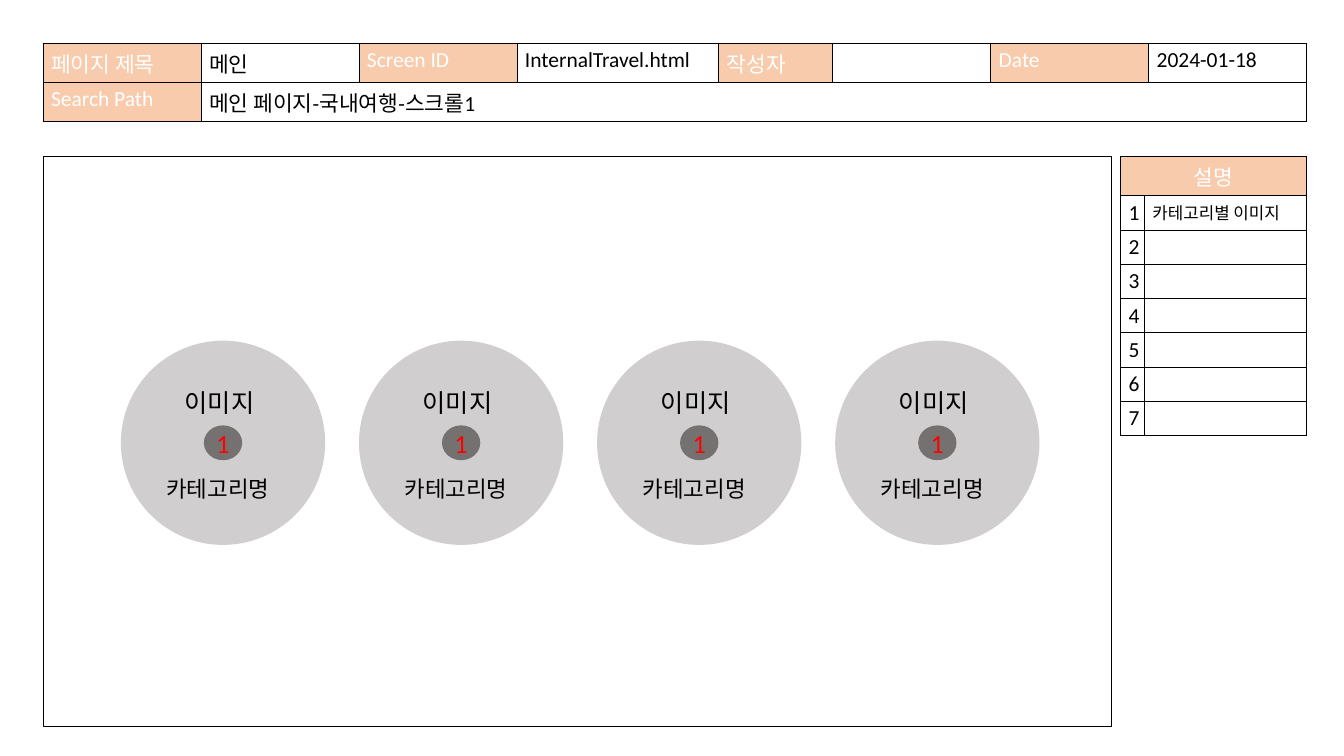
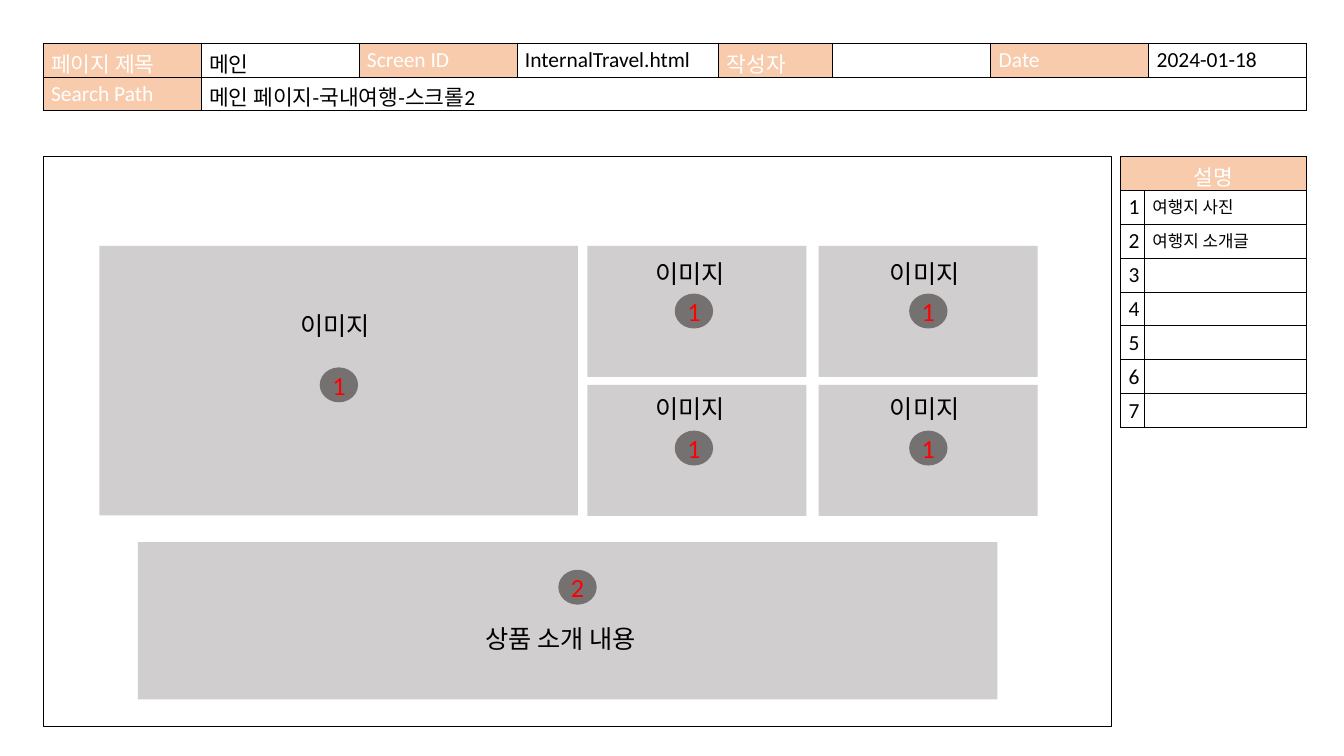
from lxml import etree
from pptx import Presentation
from pptx import util as u
from pptx.dml.color import RGBColor
from pptx.enum import shapes, text
from pptx.oxml import parse_xml
from pptx.oxml.ns import nsdecls, qn

PEACH = RGBColor(0xF8, 0xCB, 0xAD)
GREY = RGBColor(0xD0, 0xCE, 0xCE)
DARK_GREY = RGBColor(0x76, 0x71, 0x71)
RED = RGBColor(0xFF, 0, 0)
BLACK = RGBColor(0, 0, 0)
WHITE = RGBColor(0xFF, 0xFF, 0xFF)
FONT = "Calibri"
LEFT, CENTER = text.PP_ALIGN.LEFT, text.PP_ALIGN.CENTER
RECT, OVAL = shapes.MSO_SHAPE.RECTANGLE, shapes.MSO_SHAPE.OVAL

# Content; every length is in centimetres
HEADER = ["페이지 제목", "메인", "Screen ID", "InternalTravel.html",
          "작성자", "", "Date", "2024-01-18"]
HEADER_COLS = [5.97, 5.97, 5.97, 7.62, 4.32, 5.97, 5.97, 5.97]
NOTE_COLS = [0.9, 6.13]
NOTE_COUNT = 7
ROW = 1.28
MARGIN, PANEL_TOP = 1.63, 5.92
PANEL = (MARGIN, PANEL_TOP, 40.38, 21.54)
BADGE = (1.45, 1.32)
# Label: width, height, font size
IMAGE, CATEGORY, INTRO = (3.4, 1.42, 27), (4.78, 1.27, 24), (6.73, 1.42, 27)

# Slide 1: a row of category circles
CIRCLES, DIAMETER, PITCH = 4, 7.72, 9
FIRST_X, CIRCLE_Y = 8.43, 16.74
circle_xs = [FIRST_X + PITCH * i for i in range(CIRCLES)]

# Slide 2: one large photo, a two by two grid, and an introduction
SMALL = (8.28, 4.95)
GRID_COLS = [(22.2, 26.23), (30.94, 35.09)]            # left, badge centre
GRID_ROWS = [(9.3, 11.76, 10.34), (14.55, 16.94, 15.47)]  # top, badge, label
grid = [(x, y, bx, by, ly) for y, by, ly in GRID_ROWS for x, bx in GRID_COLS]

SLIDES = [
    {"path": "메인 페이지-국내여행-스크롤1",
     "notes": ["카테고리별 이미지"],
     "blocks": [(OVAL, x - DIAMETER / 2, CIRCLE_Y - DIAMETER / 2,
                 DIAMETER, DIAMETER) for x in circle_xs],
     "badges": [("1", x, CIRCLE_Y) for x in circle_xs],
     "labels": [("이미지", x, 15.21, IMAGE) for x in circle_xs]
     + [("카테고리명", x, 18.47, CATEGORY) for x in circle_xs]},
    {"path": "메인 페이지-국내여행-스크롤2",
     "notes": ["여행지 사진", "여행지 소개글"],
     "blocks": [(RECT, 3.76, 9.3, 18.08, 10.19)]
     + [(RECT, x, y, *SMALL) for x, y, *_ in grid]
     + [(RECT, 5.21, 20.5, 32.49, 5.94)],
     "badges": [("1", 12.81, 14.55)]
     + [("1", bx, by) for _, _, bx, by, _ in grid]
     + [("2", 21.83, 22.2)],
     "labels": [("이미지", 12.8, 12.32, IMAGE)]
     + [("이미지", bx, ly, IMAGE) for _, _, bx, _, ly in grid]
     + [("상품 소개 내용", 21.47, 24.16, INTRO)]},
]


def write(tf, words, size, color, align=LEFT):
    p = tf.paragraphs[0]
    p.text = words
    p.alignment = align
    for r in p.runs:
        r.font.size, r.font.name = u.Pt(size), FONT
        r.font.color.rgb = color


def add_shape(s, kind, x, y, w, h, fill=None, line=None):
    sp = s.shapes.add_shape(kind, *map(u.Cm, (x, y, w, h)))
    sp.shadow.inherit = False
    if fill is None:
        sp.fill.background()
    else:
        sp.fill.solid()
        sp.fill.fore_color.rgb = fill
    if line is None:
        sp.line.fill.background()
    else:
        sp.line.color.rgb = line
        sp.line.width = u.Pt(1)
    return sp


def add_badge(s, number, x, y):
    w, h = BADGE
    sp = add_shape(s, shapes.MSO_SHAPE.FLOWCHART_CONNECTOR,
                   x - w / 2, y - h / 2, w, h, DARK_GREY)
    sp.text_frame.vertical_anchor = text.MSO_ANCHOR.MIDDLE
    write(sp.text_frame, number, 28, RED, CENTER)


def add_label(s, words, x, y, style):
    w, h, size = style
    tf = s.shapes.add_textbox(*map(u.Cm, (x - w / 2, y - h / 2, w, h))).text_frame
    tf.word_wrap = False
    tf.auto_size = text.MSO_AUTO_SIZE.SHAPE_TO_FIT_TEXT
    write(tf, words, size, BLACK)


def add_grid(s, x, y, cols, rows):
    """Plain table with thin black borders."""
    frame = s.shapes.add_table(rows, len(cols), u.Cm(x), u.Cm(y),
                               u.Cm(sum(cols)), u.Cm(ROW * rows))
    table = frame.table
    table.first_row = table.horz_banding = False
    for col, width in zip(table.columns, cols):
        col.width = u.Cm(width)
    for row in table.rows:
        row.height = u.Cm(ROW)
    for cell in table.iter_cells():
        cell.margin_left = cell.margin_right = u.Cm(0.3)
        cell.margin_top = cell.margin_bottom = u.Cm(0.15)
        tcPr = cell._tc.get_or_add_tcPr()
        for side in ("lnL", "lnR", "lnT", "lnB"):
            ln = etree.SubElement(tcPr, qn("a:" + side), w=str(u.Pt(1)))
            ln.append(parse_xml(f'<a:solidFill {nsdecls("a")}>'
                                f'<a:srgbClr val="{BLACK}"/></a:solidFill>'))
        cell.fill.background()
    return table


def write_cell(cell, words, heading=False, size=23, align=LEFT):
    if heading:
        cell.fill.solid()
        cell.fill.fore_color.rgb = PEACH
    if words:
        write(cell.text_frame, words, size, WHITE if heading else BLACK, align)


def add_header(s, path_text):
    table = add_grid(s, MARGIN, MARGIN, HEADER_COLS, 2)
    for i, words in enumerate(HEADER):
        write_cell(table.cell(0, i), words, heading=i % 2 == 0)
    table.cell(1, 1).merge(table.cell(1, len(HEADER) - 1))
    write_cell(table.cell(1, 0), "Search Path", heading=True)
    write_cell(table.cell(1, 1), path_text)


def add_notes_table(s, notes):
    table = add_grid(s, 42.36, PANEL_TOP, NOTE_COLS, NOTE_COUNT + 1)
    table.cell(0, 0).merge(table.cell(0, 1))
    write_cell(table.cell(0, 0), "설명", heading=True, align=CENTER)
    for i in range(1, NOTE_COUNT + 1):
        write_cell(table.cell(i, 0), str(i), align=CENTER)
    for i, note in enumerate(notes, 1):
        write_cell(table.cell(i, 1), note, size=18)


def main():
    prs = Presentation()
    prs.slide_width, prs.slide_height = u.Cm(50.8), u.Cm(28.58)
    for content in SLIDES:
        s = prs.slides.add_slide(prs.slide_layouts[6])
        # Shared frame
        add_header(s, content["path"])
        add_notes_table(s, content["notes"])
        add_shape(s, RECT, *PANEL, line=BLACK)
        # Wireframe
        for block in content["blocks"]:
            add_shape(s, *block, fill=GREY)
        for badge in content["badges"]:
            add_badge(s, *badge)
        for label in content["labels"]:
            add_label(s, *label)
    prs.save("out.pptx")


if __name__ == "__main__":
    main()
